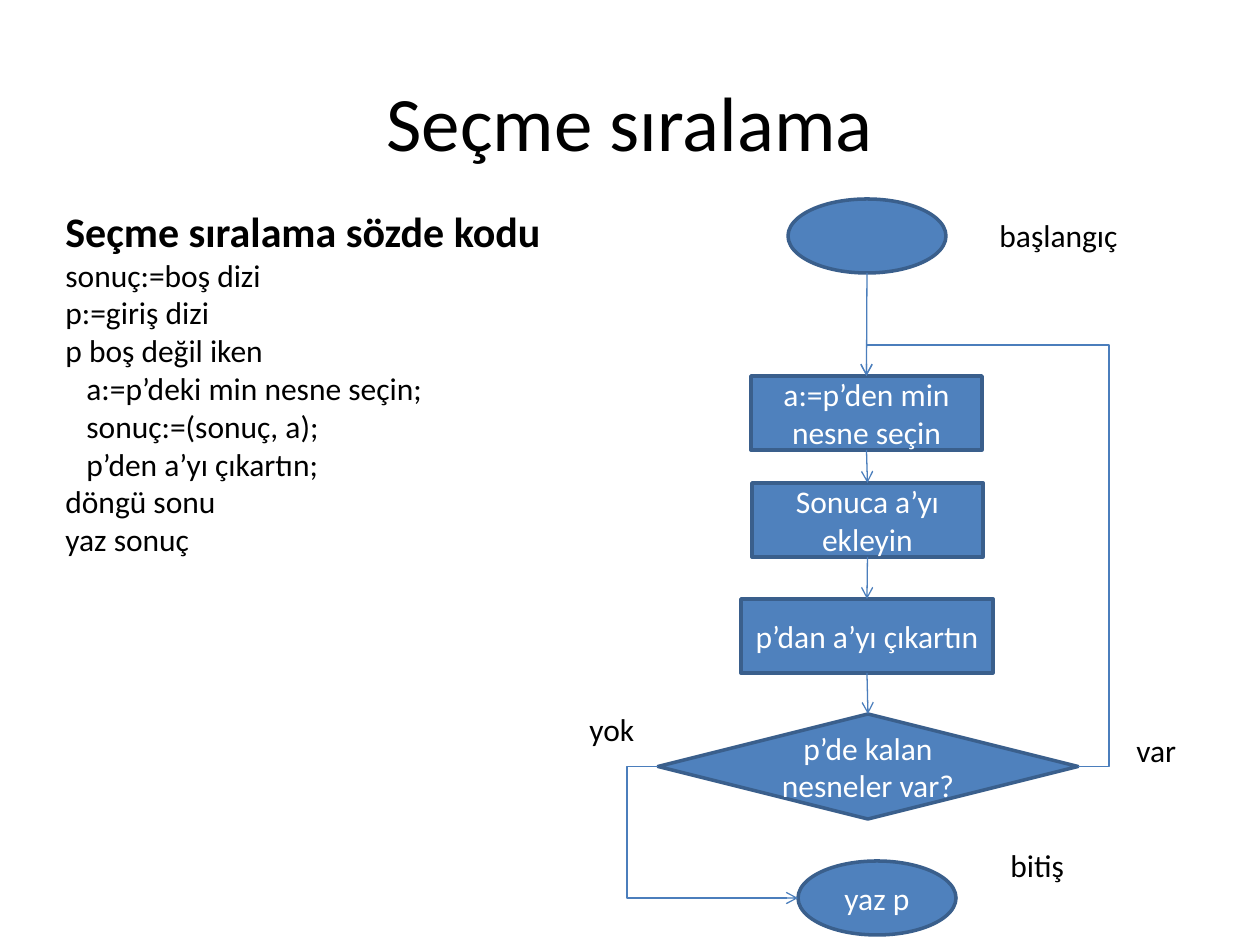
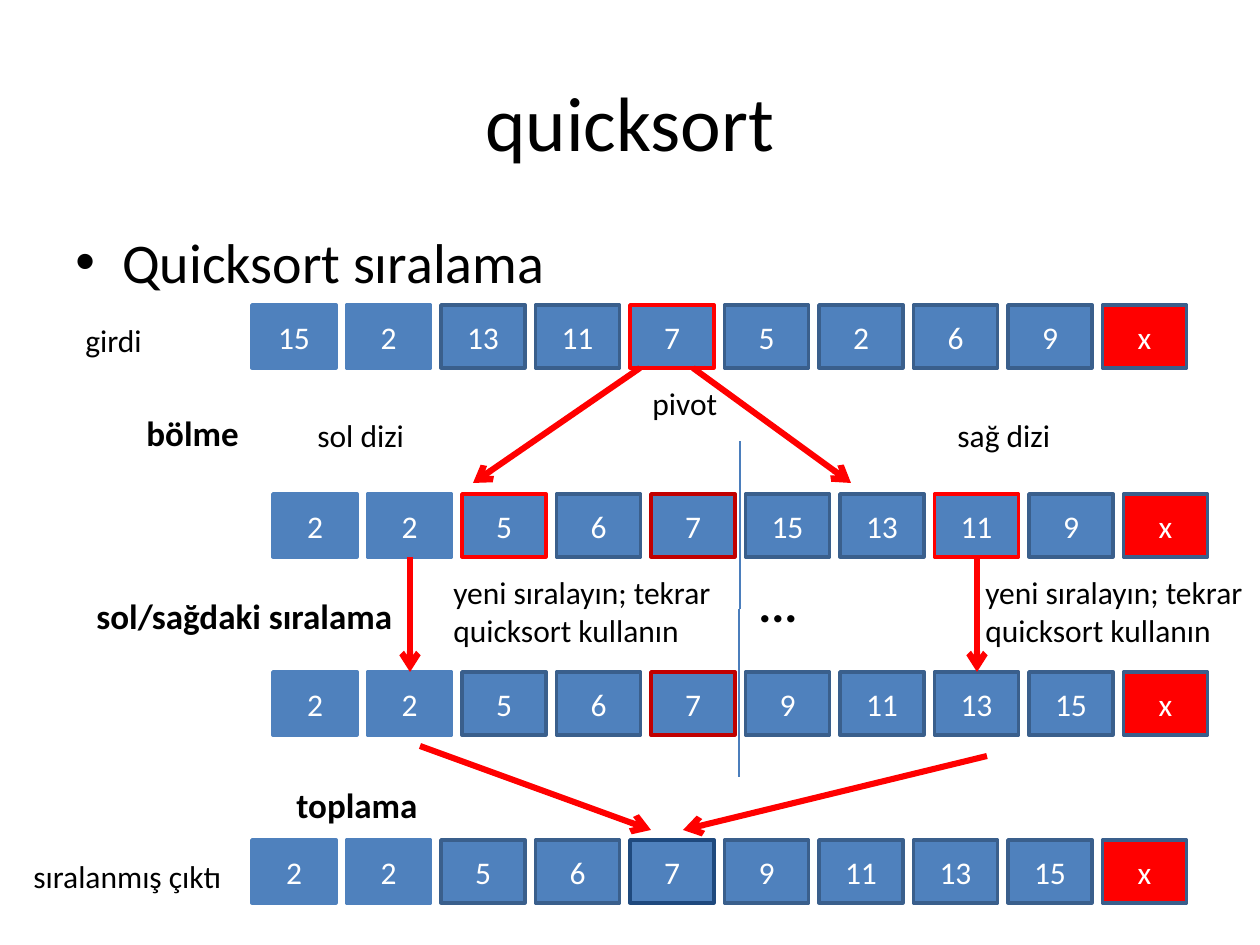
from dataclasses import dataclass, field
from itertools import pairwise
from typing import Any, NamedTuple, Sequence

from pptx import Presentation
from pptx.dml.color import RGBColor
from pptx.enum.shapes import MSO_CONNECTOR as Connector, MSO_SHAPE as Preset
from pptx.enum.text import MSO_ANCHOR as Anchor, PP_ALIGN as Align
from pptx.oxml.ns import qn
from pptx.util import Emu, Pt
from lxml.etree import SubElement

EMU_PER_PIXEL = 914400 / 126


@dataclass(frozen=True)
class Theme:
    font: str = "Calibri"
    text: str = "000000"
    inverse: str = "FFFFFF"
    fill: str = "4F81BD"
    outline: str = "3A5F8C"
    link: str = "4B7EBC"
    accent: str = "FF0000"
    pivot: str = "C00000"
    sorted_pivot: str = "1F497D"
    title_size: int = 44
    bullet_size: int = 32
    dots_size: int = 28
    heading_size: int = 24
    stage_size: int = 20
    body_size: int = 18
    outline_width: float = 2
    link_width: float = 0.75
    arrow_width: float = 3.5


THEME = Theme()


class Box(NamedTuple):
    left: float
    top: float
    width: float
    height: float


class Point(NamedTuple):
    x: float
    y: float


class Line(NamedTuple):
    text: str
    size: int = THEME.body_size
    bold: bool = False
    indent: int = 0
    bullet: bool = False


class Label(NamedTuple):
    text: str
    box: Box
    size: int = THEME.body_size
    bold: bool = False
    wrap: bool = False


class Step(NamedTuple):
    preset: Any
    box: Box
    text: str = ""

    @property
    def top(self) -> Point:
        return Point(self.box.left + self.box.width / 2, self.box.top)

    @property
    def bottom(self) -> Point:
        return Point(self.top.x, self.box.top + self.box.height)

    @property
    def left(self) -> Point:
        return Point(self.box.left, self.box.top + self.box.height / 2)

    @property
    def right(self) -> Point:
        return Point(self.box.left + self.box.width, self.left.y)


@dataclass(frozen=True)
class ArrayRow:
    left: int
    top: int
    values: str
    outlines: dict[int, str] = field(default_factory=dict)


def px(pixels: float) -> Emu:
    return Emu(round(pixels * EMU_PER_PIXEL))


def color(code: str) -> RGBColor:
    return RGBColor.from_string(code)


def write(frame: Any, lines: Sequence[Line], *, ink: str = THEME.text,
          align: Any = Align.LEFT, anchor: Any = Anchor.TOP, wrap: bool = True) -> None:
    frame.word_wrap = wrap
    frame.vertical_anchor = anchor
    for index, line in enumerate(lines):
        paragraph = frame.add_paragraph() if index else frame.paragraphs[0]
        paragraph.alignment = align
        run = paragraph.add_run()
        run.text = line.text
        run.font.name = THEME.font
        run.font.size = Pt(line.size)
        run.font.bold = line.bold
        run.font.color.rgb = color(ink)
        if line.indent:
            properties = paragraph._p.get_or_add_pPr()
            properties.set("marL", str(px(line.indent)))
            if line.bullet:
                properties.set("indent", str(-px(line.indent)))
                SubElement(properties, qn("a:buFont"), typeface="Arial")
                SubElement(properties, qn("a:buChar"), char="•")


def add_text(slide: Any, box: Box, lines: Sequence[Line], **options: Any) -> None:
    shape = slide.shapes.add_textbox(*map(px, box))
    write(shape.text_frame, lines, **options)


def add_labels(slide: Any, labels: Sequence[Label]) -> None:
    for label in labels:
        add_text(slide, label.box, [Line(label.text, label.size, label.bold)], wrap=label.wrap)


def add_block(shapes: Any, preset: Any, box: Box, text: str, *,
              fill: str = THEME.fill, outline: str = THEME.outline) -> Any:
    shape = shapes.add_shape(preset, *map(px, box))
    shape.shadow.inherit = False
    shape.fill.solid()
    shape.fill.fore_color.rgb = color(fill)
    shape.line.color.rgb = color(outline)
    shape.line.width = Pt(THEME.outline_width)
    if text:
        write(shape.text_frame, [Line(text)], ink=THEME.inverse,
              align=Align.CENTER, anchor=Anchor.MIDDLE)
    return shape


def add_line(slide: Any, start: Point, end: Point, *, kind: Any = Connector.STRAIGHT,
             ink: str = THEME.link, width: float = THEME.link_width, arrow: bool = True) -> Any:
    connector = slide.shapes.add_connector(kind, *map(px, (*start, *end)))
    connector.line.color.rgb = color(ink)
    connector.line.width = Pt(width)
    if arrow:
        SubElement(connector.line._get_or_add_ln(), qn("a:tailEnd"), type="arrow")
    SubElement(connector._element.spPr, qn("a:effectLst"))
    return connector


def add_elbow(slide: Any, start: Point, end: Point, source: Any, target: Any,
              sites: tuple[int, int], preset: str, bends: Sequence[float]) -> None:
    connector = add_line(slide, start, end, kind=Connector.ELBOW)
    connector.begin_connect(source, sites[0])
    connector.end_connect(target, sites[1])
    connector.begin_x, connector.begin_y = map(px, start)
    connector.end_x, connector.end_y = map(px, end)
    geometry = connector._element.spPr.find(qn("a:prstGeom"))
    geometry.set("prst", preset)
    guides = geometry.find(qn("a:avLst"))
    if guides is None:
        guides = SubElement(geometry, qn("a:avLst"))
    for number, bend in enumerate(bends, 1):
        SubElement(guides, qn("a:gd"), name=f"adj{number}", fmla=f"val {round(bend * 100000)}")


def add_array(slide: Any, row: ArrayRow) -> None:
    pair_pitch, width, height = 189, 84, 63
    group = slide.shapes.add_group_shape()
    for index, value in enumerate(row.values.split()):
        default = THEME.fill if index < 2 else THEME.outline
        add_block(group.shapes, Preset.RECTANGLE,
                  Box(row.left + index * pair_pitch / 2, row.top, width, height), value,
                  fill=THEME.accent if value == "x" else THEME.fill,
                  outline=row.outlines.get(index, default))


def add_titled_slide(presentation: Any, title: str) -> Any:
    slide = presentation.slides.add_slide(presentation.slide_layouts[6])
    add_text(slide, Box(63, 42, 1134, 157), [Line(title, THEME.title_size)],
             align=Align.CENTER, anchor=Anchor.MIDDLE)
    return slide


def build_selection_sort(presentation: Any) -> None:
    slide = add_titled_slide(presentation, "Seçme sıralama")
    loop_indent = 21
    add_text(slide, Box(53, 199, 546, 369), [
        Line("Seçme sıralama sözde kodu", THEME.heading_size, True),
        Line("sonuç:=boş dizi"),
        Line("p:=giriş dizi"),
        Line("p boş değil iken"),
        Line("a:=p’deki min nesne seçin;", indent=loop_indent),
        Line("sonuç:=(sonuç, a);", indent=loop_indent),
        Line("p’den a’yı çıkartın;", indent=loop_indent),
        Line("döngü sonu"),
        Line("yaz sonuç"),
    ])
    flow = [
        Step(Preset.OVAL, Box(788, 199, 158, 74)),
        Step(Preset.RECTANGLE, Box(751, 376, 231, 74), "a:=p’den min nesne seçin"),
        Step(Preset.RECTANGLE, Box(752, 483, 231, 74), "Sonuca a’yı ekleyin"),
        Step(Preset.RECTANGLE, Box(741, 599, 252, 74), "p’dan a’yı çıkartın"),
        Step(Preset.FLOWCHART_DECISION, Box(658, 714, 420, 105), "p’de kalan nesneler var?"),
    ]
    finish = Step(Preset.OVAL, Box(798, 861, 158, 74), "yaz p")
    blocks = [add_block(slide.shapes, *step) for step in flow]
    finish_block = add_block(slide.shapes, *finish)
    for step, following in pairwise(flow):
        add_line(slide, step.bottom, following.top)

    select, decision = flow[1], flow[-1]
    margin = 31
    start, end = decision.right, select.top
    add_elbow(slide, start, end, blocks[-1], blocks[1], (3, 0), "bentConnector4",
              [-margin / (start.x - end.x), 1 + margin / (start.y - end.y)])
    start, end = decision.left, finish.left
    add_elbow(slide, start, end, blocks[-1], finish_block, (1, 2), "bentConnector3",
              [-margin / (end.x - start.x)])
    add_labels(slide, [
        Label("başlangıç", Box(987, 210, 145, 50)),
        Label("bitiş", Box(998, 840, 79, 50)),
        Label("yok", Box(577, 704, 71, 50)),
        Label("var", Box(1124, 725, 66, 50)),
    ])


def build_quicksort(presentation: Any) -> None:
    slide = add_titled_slide(presentation, "quicksort")
    add_text(slide, Box(63, 221, 1134, 624),
             [Line("Quicksort sıralama", THEME.bullet_size, indent=47, bullet=True)])
    for row in (
        ArrayRow(252, 305, "15 2 13 11 7 5 2 6 9 x", {4: THEME.accent}),
        ArrayRow(273, 494, "2 2 5 6 7 15 13 11 9 x",
                 {2: THEME.accent, 4: THEME.pivot, 7: THEME.accent}),
        ArrayRow(273, 672, "2 2 5 6 7 9 11 13 15 x", {4: THEME.pivot}),
        ArrayRow(252, 840, "2 2 5 6 7 9 11 13 15 x", {4: THEME.sorted_pivot}),
    ):
        add_array(slide, row)
    for start, end in (
        (Point(640, 368), Point(473, 483)),
        (Point(693, 368), Point(851, 483)),
        (Point(410, 557), Point(410, 672)),
        (Point(977, 557), Point(977, 672)),
        (Point(420, 746), Point(651, 830)),
        (Point(987, 756), Point(683, 830)),
    ):
        add_line(slide, start, end, ink=THEME.accent, width=THEME.arrow_width)
    for x, top, bottom in ((740, 441, 609), (739, 609, 777)):
        add_line(slide, Point(x, top), Point(x, bottom), arrow=False)
    recursion = "yeni sıralayın; tekrar quicksort kullanın"
    add_labels(slide, [
        Label("girdi", Box(73, 315, 82, 50)),
        Label("pivot", Box(640, 378, 91, 50)),
        Label("sol dizi", Box(305, 410, 113, 50)),
        Label("sağ dizi", Box(945, 410, 120, 50)),
        Label("sıralanmış çıktı", Box(21, 851, 215, 50)),
        Label("bölme", Box(134, 405, 118, 55), THEME.stage_size, True),
        Label("sol/sağdaki sıralama", Box(84, 588, 324, 55), THEME.stage_size, True),
        Label("toplama", Box(284, 777, 147, 55), THEME.stage_size, True),
        Label("...", Box(746, 567, 66, 72), THEME.dots_size, True),
        Label(recursion, Box(441, 567, 325, 89), wrap=True),
        Label(recursion, Box(973, 567, 290, 89), wrap=True),
    ])


def main() -> None:
    presentation = Presentation()
    presentation.slide_width = px(1260)
    presentation.slide_height = px(945)
    build_selection_sort(presentation)
    build_quicksort(presentation)
    presentation.save("out.pptx")


main()
